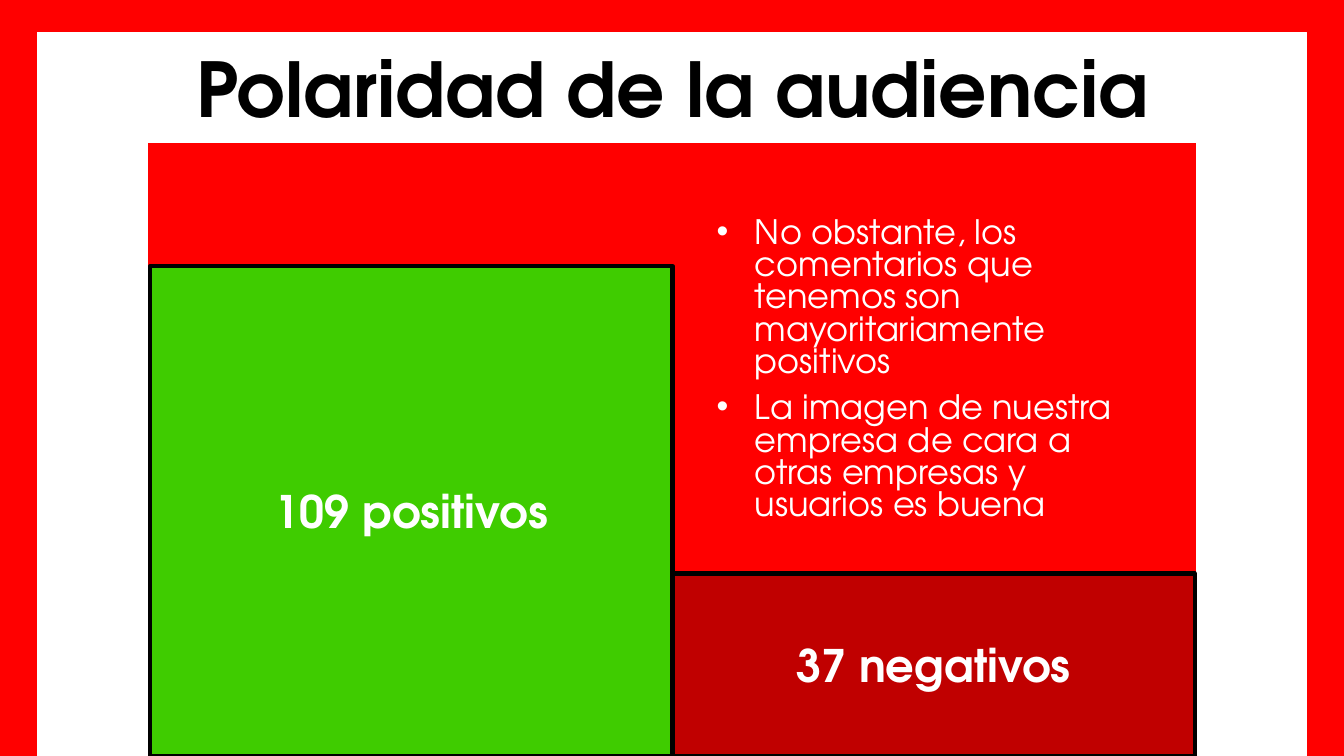
from dataclasses import dataclass

from lxml.etree import SubElement
from pptx import Presentation
from pptx.dml.color import RGBColor
from pptx.enum.shapes import MSO_SHAPE as Shape
from pptx.enum.text import MSO_ANCHOR as Anchor, PP_ALIGN as Align
from pptx.oxml.ns import qn
from pptx.util import Inches, Pt


@dataclass(frozen=True)
class Theme:
    font: str = "TeX Gyre Adventor"
    red: str = "FF0000"
    dark_red: str = "C00000"
    green: str = "3FCC00"
    white: str = "FFFFFF"
    black: str = "000000"
    title_size: int = 54
    bar_size: int = 32
    body_size: int = 24
    frame_line: int = 1
    bar_line: int = 3


THEME = Theme()
TITLE = "Polaridad de la audiencia"
CONCLUSIONS = [
    "No obstante, los comentarios que tenemos son mayoritariamente positivos",
    "La imagen de nuestra empresa de cara a otras empresas y usuarios es buena",
]
# label, height in inches, colour
BARS = [
    ("109 positivos", 4.86, THEME.green),
    ("37 negativos", 1.81, THEME.dark_red),
]

SLIDE_W, SLIDE_H = 13.33, 7.5
MARGIN_X, MARGIN_TOP = 0.37, 0.32
BAND = 1.09
BARS_LEFT, BAR_W = 1.49, 5.18
BULLET_INDENT = 0.38


def add_block(slide, box, fill, line, line_width):
    block = slide.shapes.add_shape(Shape.RECTANGLE, *map(Inches, box))
    block.shadow.inherit = False
    block.fill.solid()
    block.fill.fore_color.rgb = RGBColor.from_string(fill)
    block.line.color.rgb = RGBColor.from_string(line)
    block.line.width = Pt(line_width)
    return block


def add_bullet(paragraph):
    properties = paragraph._p.get_or_add_pPr()
    properties.set("marL", str(Inches(BULLET_INDENT)))
    properties.set("indent", str(-Inches(BULLET_INDENT)))
    SubElement(properties, qn("a:buFont")).set("typeface", "Arial")
    SubElement(properties, qn("a:buChar")).set("char", "•")


def write(frame, lines, *, size, color, bold=False, align=Align.LEFT,
          anchor=Anchor.TOP, line_spacing=1.0, space_before=0, bullets=False):
    frame.word_wrap = True
    frame.vertical_anchor = anchor
    for i, line in enumerate(lines):
        paragraph = frame.add_paragraph() if i else frame.paragraphs[0]
        paragraph.alignment = align
        paragraph.line_spacing = line_spacing
        paragraph.space_before = Pt(space_before)
        if bullets:
            add_bullet(paragraph)
        run = paragraph.add_run()
        run.text = line
        run.font.name = THEME.font
        run.font.size = Pt(size)
        run.font.bold = bold
        run.font.color.rgb = RGBColor.from_string(color)


def add_frame(slide):
    """Red backdrop with a white arch: two side bands and one across the top."""
    add_block(slide, (0, 0, SLIDE_W, SLIDE_H), THEME.red, THEME.red, THEME.frame_line)
    band_height = SLIDE_H - MARGIN_TOP
    right_band = SLIDE_W - MARGIN_X - BAND
    for box in [
        (MARGIN_X, MARGIN_TOP, BAND, band_height),
        (right_band, MARGIN_TOP, BAND, band_height),
        (MARGIN_X + BAND / 2, MARGIN_TOP, right_band - MARGIN_X, BAND),
    ]:
        add_block(slide, box, THEME.white, THEME.white, THEME.frame_line)


def add_bars(slide):
    for i, (label, height, color) in enumerate(BARS):
        box = (BARS_LEFT + i * BAR_W, SLIDE_H - height, BAR_W, height)
        bar = add_block(slide, box, color, THEME.black, THEME.bar_line)
        write(bar.text_frame, [label], size=THEME.bar_size, color=THEME.white,
              bold=True, align=Align.CENTER, anchor=Anchor.MIDDLE)


def main():
    deck = Presentation()
    deck.slide_width, deck.slide_height = Inches(SLIDE_W), Inches(SLIDE_H)
    slide = deck.slides.add_slide(deck.slide_layouts[6])

    add_frame(slide)
    title = slide.shapes.add_textbox(*map(Inches, (0.35, 0.35, 12.64, 1.03)))
    write(title.text_frame, [TITLE], size=THEME.title_size, color=THEME.black,
          bold=True, align=Align.CENTER, anchor=Anchor.BOTTOM, line_spacing=0.9)
    conclusions = slide.shapes.add_textbox(*map(Inches, (7.01, 2.12, 4.5, 3.26)))
    write(conclusions.text_frame, CONCLUSIONS, size=THEME.body_size,
          color=THEME.white, line_spacing=0.8, space_before=10, bullets=True)
    add_bars(slide)

    deck.save("out.pptx")


if __name__ == "__main__":
    main()
